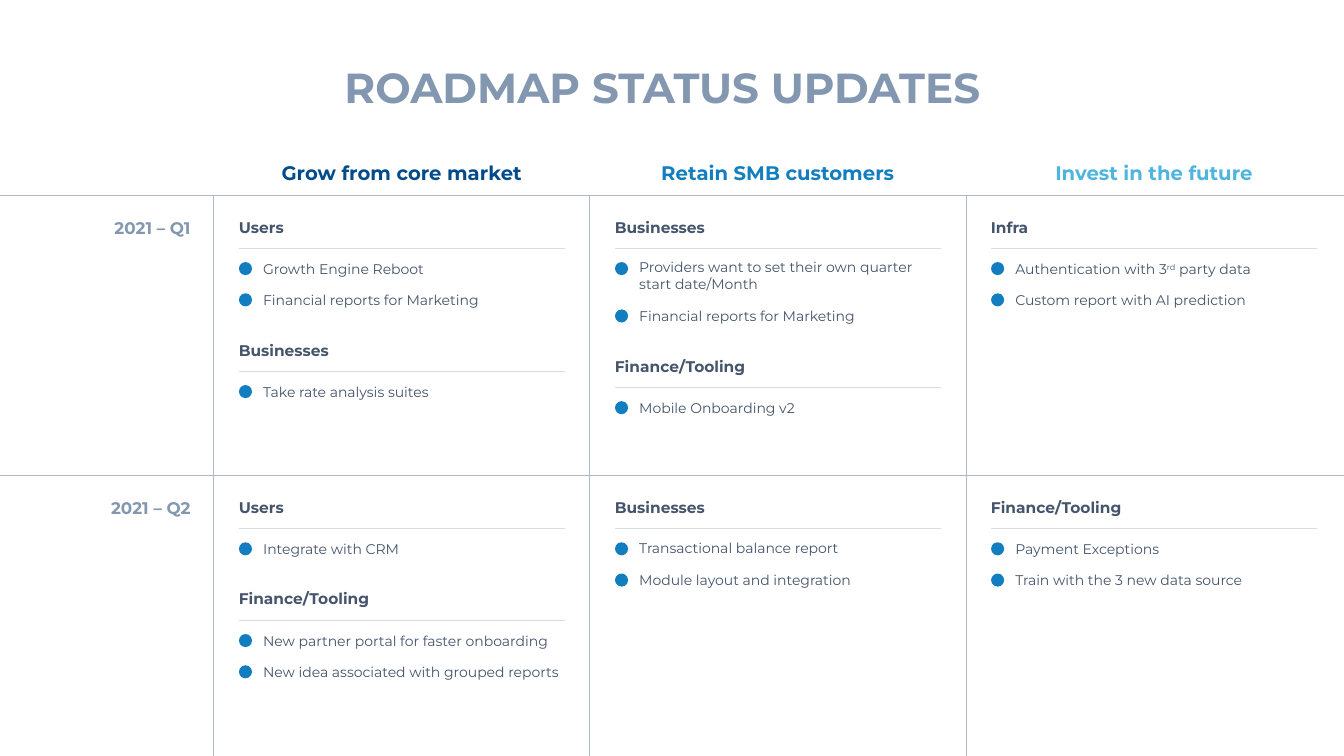
import pptx
import pptx.util
import pptx.dml.color
import pptx.enum.text
import pptx.enum.shapes
import lxml.etree

RGB = pptx.dml.color.RGBColor
INCH = pptx.util.Inches
ALIGN = pptx.enum.text.PP_ALIGN
ANCHOR = pptx.enum.text.MSO_ANCHOR
SHAPE = pptx.enum.shapes.MSO_SHAPE

NAVY = RGB(0x01, 0x4B, 0x8A)
BLUE = RGB(0x12, 0x7E, 0xC0)
SKY = RGB(0x4F, 0xB4, 0xDE)
STEEL = RGB(0x84, 0x97, 0xB0)
SLATE = RGB(0x44, 0x54, 0x6A)
GRID = RGB(0xAD, 0xB9, 0xCA)
RULE = RGB(0xD6, 0xDC, 0xE5)
FONT = "Montserrat"

TITLE = "ROADMAP STATUS UPDATES"
GOALS = [
    ("Grow from core market", NAVY, 2.61),
    ("Retain SMB customers", BLUE, 2.53),
    ("Invest in the future", SKY, 2.18),
]
PLAN = [
    ("2021 – Q1", [
        [("Users", ["Growth Engine Reboot", "Financial reports for Marketing"]),
         ("Businesses", ["Take rate analysis suites"])],
        [("Businesses", ["Providers want to set their own quarter start date/Month",
                         "Financial reports for Marketing"]),
         ("Finance/Tooling", ["Mobile Onboarding v2"])],
        [("Infra", ["Authentication with 3^rd^ party data",
                    "Custom report with AI prediction"])],
    ]),
    ("2021 – Q2", [
        [("Users", ["Integrate with CRM"]),
         ("Finance/Tooling", ["New partner portal for faster onboarding",
                              "New idea associated with grouped reports"])],
        [("Businesses", ["Transactional balance report",
                         "Module layout and integration"])],
        [("Finance/Tooling", ["Payment Exceptions",
                              "Train with the 3 new data source"])],
    ]),
]
WIDTHS = {"Users": 0.65, "Businesses": 1.1, "Finance/Tooling": 1.51, "Infra": 0.58}

WIDE, HIGH = 13.33, 7.5
LEFT, COL = 2.12, 3.73
TOP, ROW = 1.94, 2.78
STEP, WRAP = 0.31, 0.16
FULL = 45

deck = pptx.Presentation()
deck.slide_width, deck.slide_height = INCH(WIDE), INCH(HIGH)
slide = deck.slides.add_slide(deck.slide_layouts[5])
shapes = slide.shapes


def place(shape, x, y, w, h):
    shape.left, shape.top, shape.width, shape.height = map(INCH, (x, y, w, h))


def write(para, text, size, color, bold=False, align=ALIGN.LEFT):
    for i, part in enumerate(text.split("^")):
        run = para.add_run()
        run.text = part
        if i % 2:
            run._r.get_or_add_rPr().set("baseline", "30000")
    para.alignment = align
    font = para.font
    font.name, font.size, font.bold = FONT, pptx.util.Pt(size), bold
    font.color.rgb = color


def label(text, x, y, w, h, size, color, align=ALIGN.LEFT):
    frame = shapes.add_textbox(*map(INCH, (x, y, w, h))).text_frame
    frame.word_wrap = False
    write(frame.paragraphs[0], text, size, color, True, align)


def line(x1, y1, x2, y2, color):
    link = shapes.add_connector(pptx.enum.shapes.MSO_CONNECTOR.STRAIGHT,
                                *map(INCH, (x1, y1, x2, y2)))
    link.line.color.rgb = color
    link.line.width = pptx.util.Pt(0.5)
    lxml.etree.SubElement(link._element.spPr, pptx.oxml.ns.qn("a:effectLst"))


def entry(text, x, y, anchor):
    frame = shapes.add_textbox(*map(INCH, (x + 0.14, y, 3.46, 0.29))).text_frame
    frame.word_wrap = True
    frame.vertical_anchor = anchor
    frame.margin_left = INCH(0.35)
    write(frame.paragraphs[0], text, 10, SLATE)
    dot = shapes.add_shape(SHAPE.ROUNDED_RECTANGLE,
                           *map(INCH, (x + 0.25, y + 0.08, 0.13, 0.13)))
    dot.adjustments[0] = 0.5
    dot.shadow.inherit = False
    dot.fill.solid()
    dot.fill.fore_color.rgb = BLUE
    dot.line.fill.background()


def cell(groups, x, y, lift):
    for g, (head, items) in enumerate(groups):
        label(head, x + 0.15, y, WIDTHS[head], 0.29, 11, SLATE)
        line(x + 0.25, y + 0.35, x + 3.48, y + 0.35, RULE)
        y += 0.41
        for i, item in enumerate(items):
            first = lift and g == i == 0
            entry(item, x, y, ANCHOR.TOP if first else ANCHOR.MIDDLE)
            y += STEP + (WRAP if len(item) > FULL else 0)
        y += 0.19


def heading():
    title = shapes.title
    place(title, 3.35, 0.51, 6.64, 0.71)
    frame = title.text_frame
    frame.auto_size = pptx.enum.text.MSO_AUTO_SIZE.NONE
    frame.word_wrap = False
    frame.vertical_anchor = ANCHOR.MIDDLE
    frame.margin_left, frame.margin_right = 0, INCH(0.2)
    frame.margin_top = frame.margin_bottom = INCH(0.1)
    para = frame.paragraphs[0]
    write(para, TITLE, 30, STEEL, True, ALIGN.CENTER)
    fill = para.font.fill
    fill.gradient()
    fill.gradient_angle = 270
    for stop, color in zip(fill.gradient_stops, (STEEL, SLATE)):
        stop.color.rgb = color


def main():
    heading()
    for c, (goal, color, w) in enumerate(GOALS):
        x = LEFT + c * COL
        label(goal, x + (COL - w) / 2, 1.55, w, 0.34, 14, color, ALIGN.CENTER)
        line(x, TOP, x, HIGH, GRID)
    for r, (term, cells) in enumerate(PLAN):
        y = TOP + r * ROW
        line(0, y, WIDE, y, GRID)
        label(term, 0.99, y + 0.17, 1, 0.3, 12, STEEL, ALIGN.RIGHT)
        for c, groups in enumerate(cells):
            cell(groups, LEFT + c * COL, y + 0.17, c == 1)
    deck.save("out.pptx")


if __name__ == "__main__":
    main()
